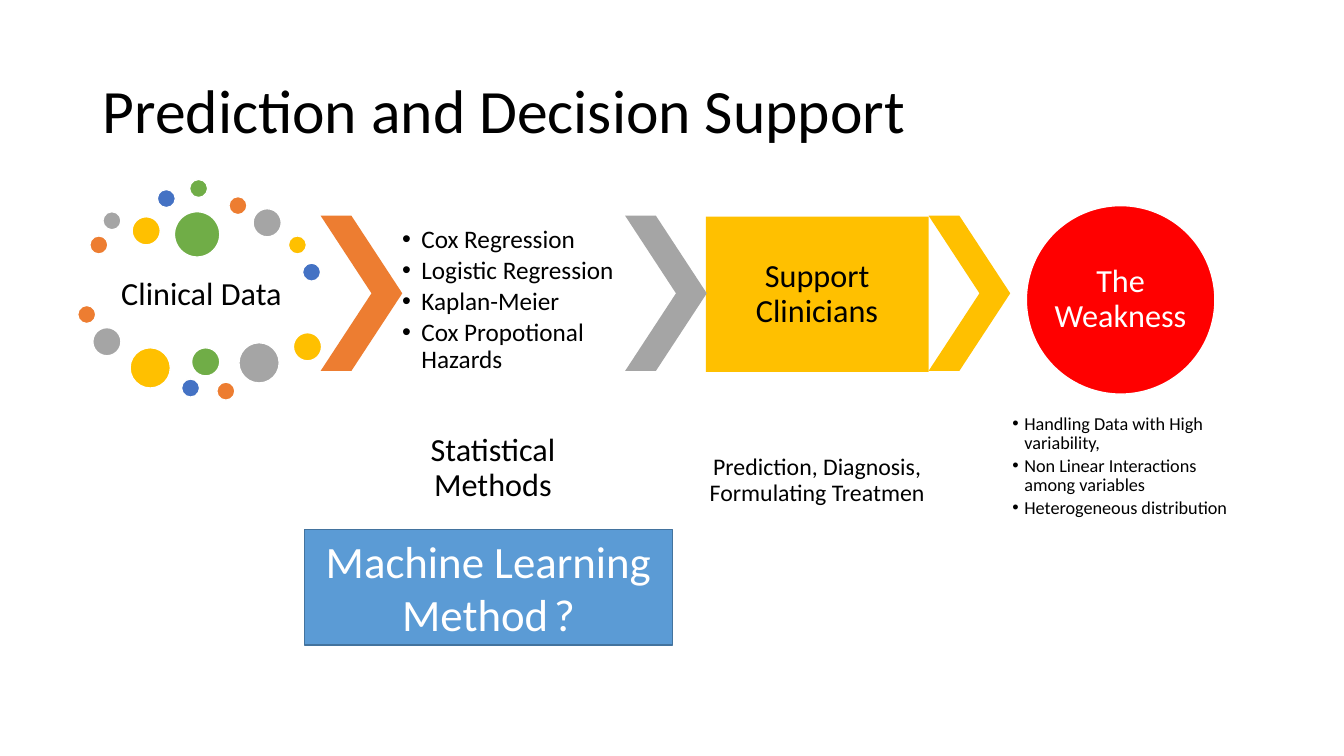
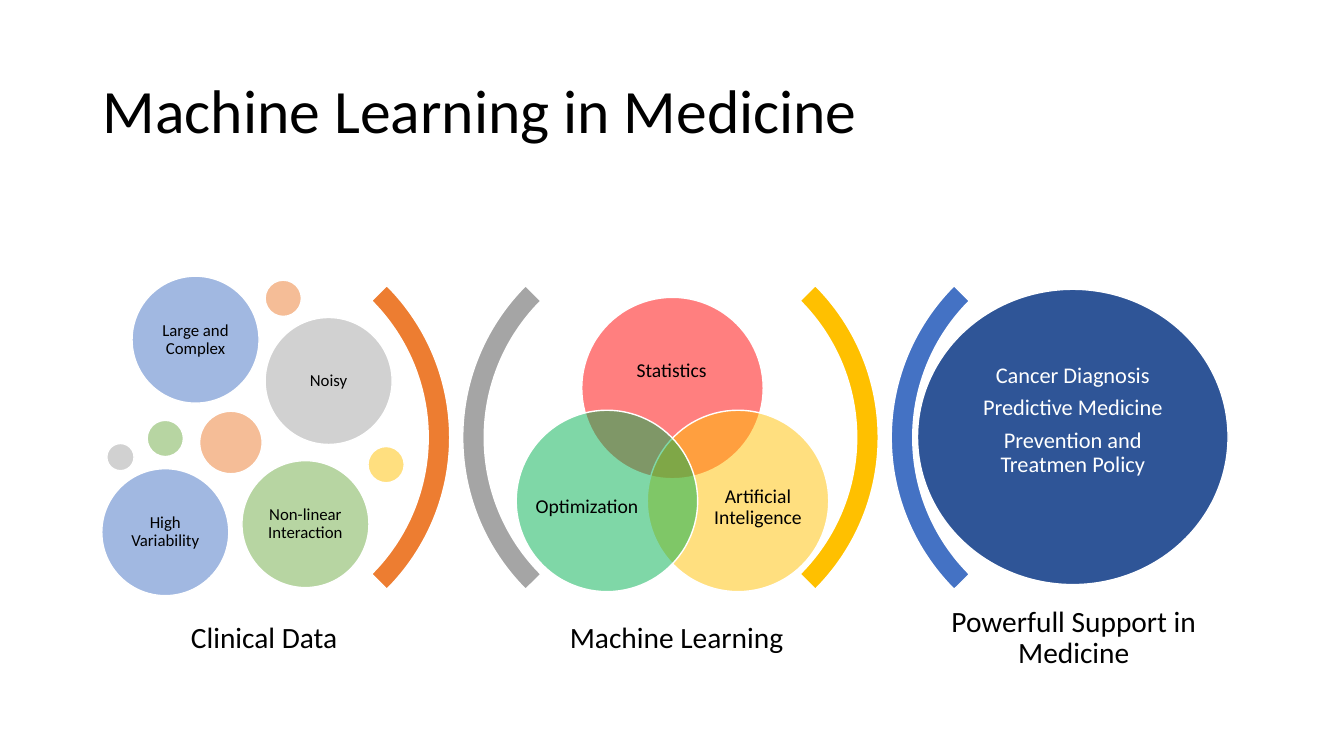
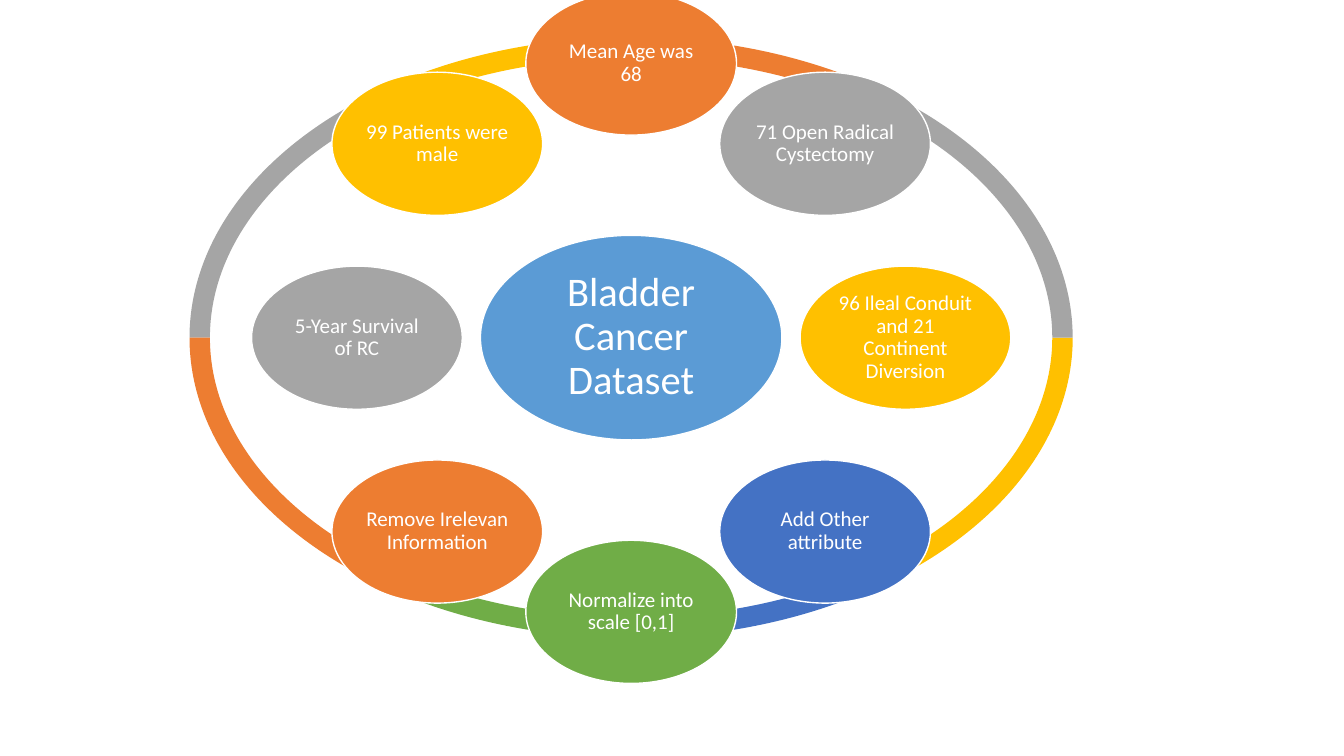
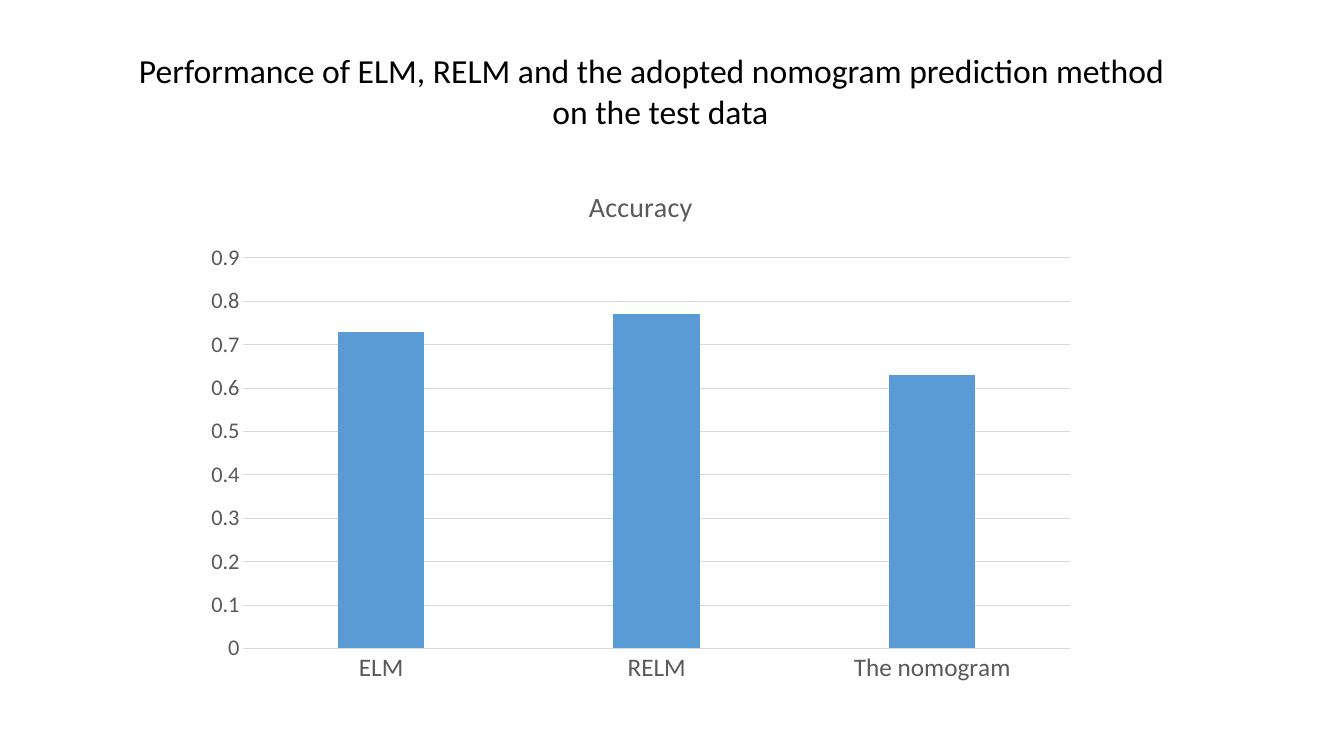
from itertools import cycle
from math import cos, pi, sin

from lxml import etree
from pptx import Presentation
from pptx.chart.data import CategoryChartData
from pptx.dml.color import RGBColor
from pptx.enum.chart import XL_CHART_TYPE, XL_TICK_MARK
from pptx.enum.shapes import MSO_SHAPE
from pptx.enum.text import MSO_ANCHOR, PP_ALIGN
from pptx.oxml.ns import qn
from pptx.util import Inches, Pt

OVAL, RECT = MSO_SHAPE.OVAL, MSO_SHAPE.RECTANGLE
CHEVRON, ARC = MSO_SHAPE.CHEVRON, MSO_SHAPE.BLOCK_ARC
LEFT, CENTER = PP_ALIGN.LEFT, PP_ALIGN.CENTER
TOP, MIDDLE = MSO_ANCHOR.TOP, MSO_ANCHOR.MIDDLE
COLUMN, NO_TICK = XL_CHART_TYPE.COLUMN_CLUSTERED, XL_TICK_MARK.NONE

FONT = "Calibri"
BLACK, WHITE, RED, GREY_TEXT, RULE = "000000", "FFFFFF", "FF0000", "595959", "D9D9D9"
ORANGE, GREY, GOLD, BLUE, GREEN = "ED7D31", "A5A5A5", "FFC000", "4472C4", "70AD47"
SKY, NAVY, EMERALD = "5B9BD5", "2F5597", "00B050"
TITLE = (0.92, 0.4, 11.5, 1.45)


def rgb(code):
    return RGBColor.from_string(code)


def setall(obj, vals):
    for name, val in vals.items():
        setattr(obj, name, val)


def style(font, size, color):
    setall(font, {"name": FONT, "size": Pt(size), "bold": False})
    font.color.rgb = rgb(color)


def inch(box):
    return [Inches(v) for v in box]


def bullet(par, indent):
    props = par._p.get_or_add_pPr()
    props.set("marL", str(Inches(indent)))
    props.set("indent", str(-Inches(indent)))
    etree.SubElement(props, qn("a:buFont")).set("typeface", "Arial")
    etree.SubElement(props, qn("a:buChar")).set("char", "•")


def write(shape, lines, size, color=BLACK, pad=0.03, align=CENTER,
          anchor=MIDDLE, spacing=0.9, gap=0.35, indent=0):
    """Fill a shape with lines; a line is a string or a list of (text, size) runs."""
    frame = shape.text_frame
    setall(frame, {"word_wrap": True, "vertical_anchor": anchor,
                   "margin_left": Inches(pad), "margin_right": Inches(pad),
                   "margin_top": Inches(pad), "margin_bottom": Inches(pad)})
    for i, line in enumerate(lines):
        par = frame.add_paragraph() if i else frame.paragraphs[0]
        setall(par, {"alignment": align, "line_spacing": spacing,
                     "space_after": Pt(round(gap * size, 1))})
        if indent:
            bullet(par, indent)
        for text, points in [(line, size)] if isinstance(line, str) else line:
            run = par.add_run()
            run.text = text
            style(run.font, points, color)


def label(slide, box, lines, size, **opts):
    area = slide.shapes.add_textbox(*inch(box))
    write(area, lines, size, **opts)
    return area


def draw(slide, kind, box, fill, line=None, alpha=None, adj=(), turn=0):
    shape = slide.shapes.add_shape(kind, *inch(box))
    shape.shadow.inherit = False
    shape.rotation = turn
    shape.fill.solid()
    shape.fill.fore_color.rgb = rgb(fill)
    if alpha:
        tint = shape.fill._xPr.find(".//" + qn("a:srgbClr"))
        etree.SubElement(tint, qn("a:alpha")).set("val", str(alpha * 1000))
    if line:
        shape.line.color.rgb = rgb(line)
        shape.line.width = Pt(1)
    else:
        shape.line.fill.background()
    for i, val in enumerate(adj):
        shape.adjustments[i] = val
    return shape


def arc(slide, box, start, end, thick, fill, line=None, turn=0):
    """Block arc between two angles in degrees."""
    return draw(slide, ARC, box, fill, line, turn=turn,
                adj=(start * 0.6, end * 0.6, thick))


def title(slide, text):
    area = label(slide, TITLE, [text], 44, pad=0.1, align=LEFT, gap=0)
    setall(area.text_frame, {"margin_top": Inches(0.05), "margin_bottom": Inches(0.05)})


# Slide 1

DOTS = [
    (0.12, 0.56, 0.18), (0.25, 0.32, 0.18), (0.54, 0.37, 0.28),
    (0.79, 0.1, 0.18), (1.11, 0, 0.18), (1.5, 0.17, 0.18),
    (1.74, 0.29, 0.28), (2.09, 0.56, 0.18), (2.23, 0.83, 0.18),
    (0.96, 0.32, 0.45), (0, 1.25, 0.18), (0.15, 1.47, 0.28),
    (0.52, 1.67, 0.4), (1.03, 1.98, 0.18), (1.13, 1.67, 0.28),
    (1.38, 2.01, 0.18), (1.6, 1.62, 0.4), (2.14, 1.52, 0.28),
]


def cloud(slide, x, y):
    label(slide, (x + 0.13, y + 0.78, 2.2, 0.73), ["Clinical Data"], 23)
    hues = cycle([ORANGE, GREY, GOLD, BLUE, GREEN])
    for (dx, dy, size), hue in zip(DOTS, hues):
        draw(slide, OVAL, (x + dx, y + dy, size, size), hue, WHITE)


def methods(slide, x, y, w):
    label(slide, (x, y, w, 1.36),
          ["Cox Regression", "Logistic Regression", "Kaplan-Meier",
           "Cox Propotional Hazards"],
          18, align=LEFT, anchor=TOP, gap=0.15, indent=0.19)
    label(slide, (x - 0.17, y + 1.93, w, 0.99), ["Statistical Methods"], 23)


def support(slide, x, y, w):
    panel = draw(slide, RECT, (x, y, w, 1.54), GOLD)
    write(panel, ["Support Clinicians"], 23)
    label(slide, (x, y + 1.94, w, 1.36),
          ["Prediction, Diagnosis, Formulating Treatmen"], 17, pad=0.02)


def weakness(slide, x, y, w):
    disc = draw(slide, OVAL, (x + 0.16, y, 1.87, 1.87), RED, WHITE)
    write(disc, ["The Weakness"], 23, WHITE, pad=0)
    label(slide, (x, y + 2.05, w, 1.36),
          ["Handling Data with High variability,",
           "Non Linear Interactions among variables",
           "Heterogeneous distribution"],
          13, pad=0.02, align=LEFT, anchor=TOP, gap=0.15, indent=0.12)


def decision(slide):
    title(slide, "Prediction and Decision Support")
    cloud(slide, 0.77, 1.78)
    methods(slide, 3.96, 2.22, 2.2)
    support(slide, 7, 2.15, 2.21)
    weakness(slide, 10.02, 2.04, 2.21)
    for x, hue in ((3.18, ORANGE), (6.2, GREY), (9.21, GOLD)):
        draw(slide, CHEVRON, (x, 2.14, 0.81, 1.54), hue, adj=[0.623])
    ask = draw(slide, RECT, (3.02, 5.25, 3.65, 1.15), SKY, "43739E")
    write(ask, [[("Machine Learning Method", 32), (" ", 18), ("?", 32)]], 32,
          WHITE, pad=0.1, spacing=1.0, gap=0)


# Slide 2

BUBBLES = [
    (0.3, 0, 1.26, BLUE, "Large and Complex"),
    (0.45, 1.43, 0.36, GREEN, ""),
    (1.62, 0.04, 0.36, ORANGE, ""),
    (1.62, 0.41, 1.26, GREY, "Noisy"),
    (2.64, 1.69, 0.36, GOLD, ""),
    (0, 1.91, 1.26, BLUE, "High Variability"),
    (1.39, 1.83, 1.26, GREEN, "Non-linear Interaction"),
    (0.97, 1.34, 0.62, ORANGE, ""),
    (0.05, 1.66, 0.27, GREY, ""),
]


def bubbles(slide, x, y):
    for dx, dy, size, hue, text in BUBBLES:
        disc = draw(slide, OVAL, (x + dx, y + dy, size, size), hue, WHITE, 50)
        if text:
            write(disc, [text], 12, pad=0.05)


def venn(slide, x, y, size):
    """Three overlapping discs, each with a label box given as shares of the disc."""
    for dx, dy, hue, text, (lx, ly, lw, lh) in (
        (0.65, 0, RED, "Statistics", (0.13, 0.18, 0.73, 0.45)),
        (1.3, 1.12, GOLD, "Artificial Inteligence", (0.31, 0.26, 0.6, 0.55)),
        (0, 1.12, EMERALD, "Optimization", (0.09, 0.26, 0.6, 0.55)),
    ):
        left, top = x + dx, y + dy
        draw(slide, OVAL, (left, top, size, size), hue, WHITE, 50)
        label(slide, (left + lx * size, top + ly * size, lw * size, lh * size),
              [text], 14, pad=0)


def outcome(slide, x, y, w, h):
    draw(slide, OVAL, (x, y, w, h), NAVY, WHITE)
    label(slide, (x + 0.45, y + 0.27, w - 0.9, h - 0.86),
          ["Cancer Diagnosis", "Predictive Medicine",
           "Prevention and Treatmen Policy"], 16, color=WHITE, pad=0.07)


def medicine(slide):
    title(slide, "Machine Learning in Medicine")
    for x, turn, hue in ((0.2, 90, ORANGE), (4.59, 270, GREY),
                         (4.45, 90, GOLD), (8.84, 270, BLUE)):
        arc(slide, (x, 2.21, 4.26, 4.26), 225, 315, 0.05, hue, WHITE, turn)
    venn(slide, 5.12, 2.95, 1.8)
    bubbles(slide, 1.01, 2.74)
    outcome(slide, 9.1, 2.87, 3.08, 2.93)
    for x, text in ((1, "Clinical Data"), (5.09, "Machine Learning"),
                    (9.03, "Powerfull Support in Medicine")):
        label(slide, (x, 5.91, 3.24, 0.85), [text], 21, pad=0.09)


# Slide 3

NODES = [
    ("Mean Age was 68", ORANGE),
    ("71 Open Radical Cystectomy", GREY),
    ("96 Ileal Conduit and 21 Continent Diversion", GOLD),
    ("Add Other attribute", BLUE),
    ("Normalize into scale [0,1]", GREEN),
    ("Remove Irelevan Information", ORANGE),
    ("5-Year Survival of RC", GREY),
    ("99 Patients were male", GOLD),
]


def middle(cx, cy, w, h):
    return cx - w / 2, cy - h / 2, w, h


def wheel(slide, box, reach):
    """Ring of arcs in the box, a hub, and nodes at one reach from the centre."""
    x, y, w, h = box
    cx, cy = x + w / 2, y + h / 2
    step = 360 / len(NODES)
    for i in reversed(range(len(NODES))):
        start = (i * step + 270) % 360
        arc(slide, box, start, (start + step) % 360, 0.034, NODES[i][1])
    hub = draw(slide, OVAL, middle(cx, cy, 2.99, 2.03), SKY, WHITE)
    write(hub, ["Bladder Cancer Dataset"], 29, WHITE, pad=0.04)
    for i, (text, hue) in enumerate(NODES):
        turn = i * step * pi / 180
        spot = middle(cx + reach * sin(turn), cy - reach * cos(turn), 2.09, 1.42)
        node = draw(slide, OVAL, spot, hue, WHITE)
        write(node, [text], 15, WHITE, pad=0.02)


def dataset(slide):
    wheel(slide, (1.88, 0.37, 8.76, 5.96), 2.72)


# Slide 4

def bars(slide, box):
    data = CategoryChartData()
    data.categories = ["ELM", "RELM", "The nomogram"]
    data.add_series("Accuracy", (0.73, 0.77, 0.63))
    chart = slide.shapes.add_chart(COLUMN, *inch(box), data).chart
    style(chart.font, 10, BLACK)
    setall(chart, {"has_legend": False, "has_title": True})
    head = chart.chart_title.text_frame
    head.text = "Accuracy"
    style(head.paragraphs[0].runs[0].font, 20, GREY_TEXT)

    plot = chart.plots[0]
    setall(plot, {"gap_width": 219, "overlap": -27, "vary_by_categories": False})
    fill = plot.series[0].format.fill
    fill.solid()
    fill.fore_color.rgb = rgb(SKY)

    cats, vals = chart.category_axis, chart.value_axis
    for axis, size in ((cats, 18), (vals, 16)):
        setall(axis, {"major_tick_mark": NO_TICK, "minor_tick_mark": NO_TICK})
        style(axis.tick_labels.font, size, GREY_TEXT)
    setall(vals, {"minimum_scale": 0, "maximum_scale": 0.9, "major_unit": 0.1,
                  "has_major_gridlines": True})
    setall(vals.tick_labels, {"number_format": "General",
                              "number_format_is_linked": False})
    vals.format.line.fill.background()
    for line in (cats.format.line, vals.major_gridlines.format.line):
        line.color.rgb = rgb(RULE)
        line.width = Pt(0.75)


def results(slide):
    bars(slide, (1.92, 1.65, 8.87, 5.23))
    head = label(slide, (1.28, 0.45, 10.54, 0.91),
                 ["Performance of ELM, RELM and the adopted nomogram prediction method",
                  "on the test data"], 24, pad=0.1, anchor=TOP, spacing=1.0, gap=0)
    head.text_frame.margin_top = Inches(0.05)
    head.text_frame.paragraphs[0].alignment = LEFT


def main():
    deck = Presentation()
    setall(deck, {"slide_width": Inches(13.33), "slide_height": Inches(7.5)})
    for build in (decision, medicine, dataset, results):
        build(deck.slides.add_slide(deck.slide_layouts[6]))
    deck.save("out.pptx")


if __name__ == "__main__":
    main()
